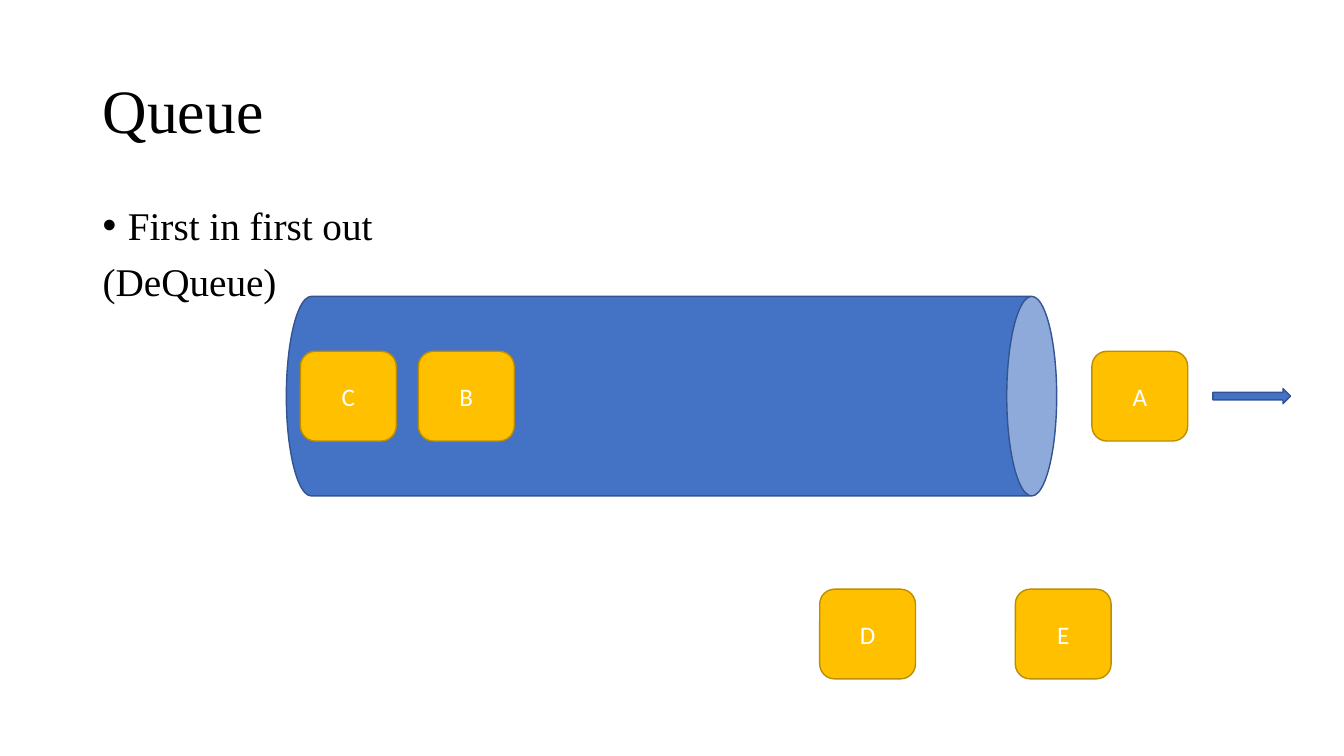
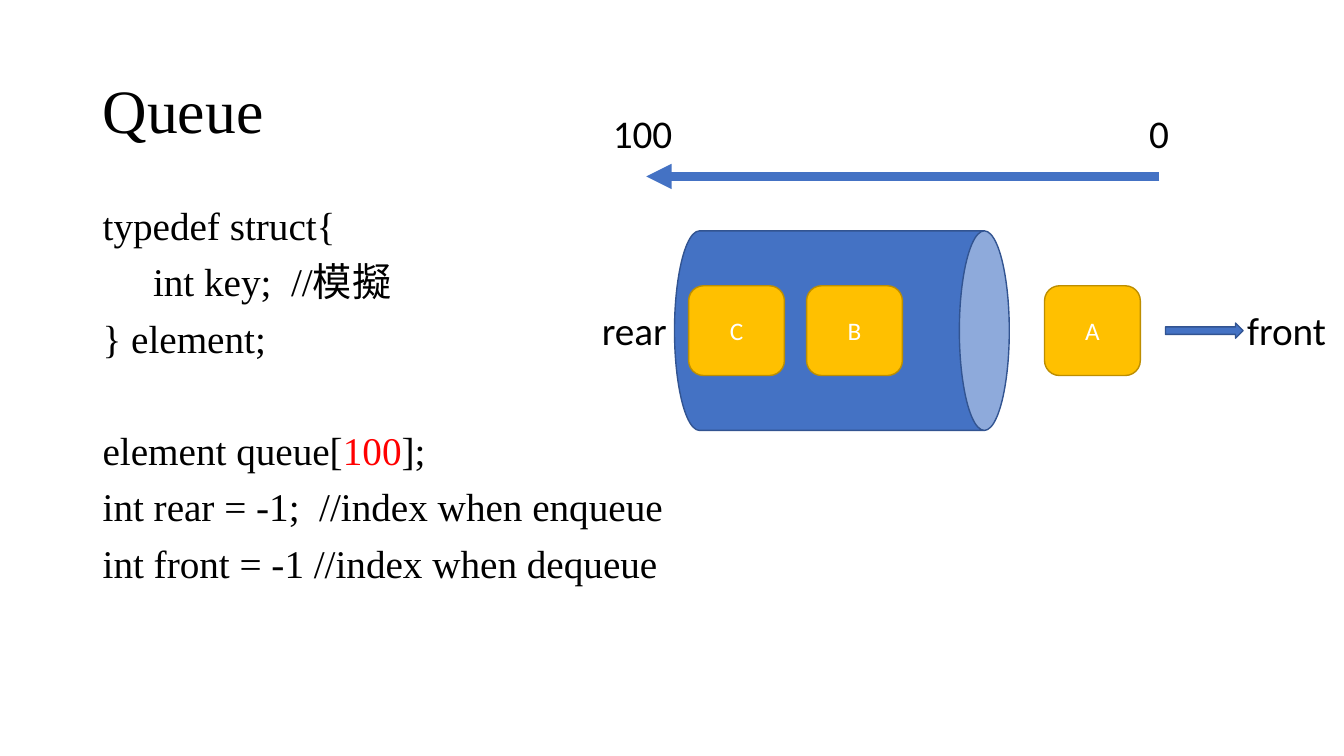
from pptx import Presentation
from pptx.dml.color import RGBColor
from pptx.enum import shapes, text
from pptx.oxml.ns import qn
from pptx.util import Inches, Pt
from lxml import etree

SERIF = "Times New Roman"
SANS = "Calibri"
BLACK = "000000"
WHITE = "FFFFFF"
RED = "FF0000"
BLUE = "4472C4"
BLUE_EDGE = "325491"
GOLD = "FFC000"
GOLD_EDGE = "BD8E00"

CELL_WIDTH = 0.95
CELL_HEIGHT = 0.89
CELL_STEP = 1.17
TANK_HEIGHT = 1.98
ARROW_HEIGHT = 0.15
BODY_SPACING = 10
BLANK_LINE = 40


def colour(value):
    return RGBColor.from_string(value)


def add_span(para, words, size, font, fill=BLACK):
    span = para.add_run()
    span.text = words
    span.font.size = Pt(size)
    span.font.name = font
    span.font.color.rgb = colour(fill)


def add_box(page, left, top, width, height, wrap=True):
    box = page.shapes.add_textbox(Inches(left), Inches(top), Inches(width), Inches(height))
    box.text_frame.word_wrap = wrap
    return box.text_frame


def add_title(page, words):
    frame = add_box(page, 0.92, 0.4, 11.5, 1.45)
    frame.vertical_anchor = text.MSO_ANCHOR.MIDDLE
    para = frame.paragraphs[0]
    para.line_spacing = 0.9
    add_span(para, words, 44, SERIF)


def add_bullet(para):
    props = para._p.get_or_add_pPr()
    props.set("marL", str(Inches(0.25)))
    props.set("indent", str(-Inches(0.25)))
    etree.SubElement(props, qn("a:buFont")).set("typeface", "Arial")
    etree.SubElement(props, qn("a:buChar")).set("char", "•")


def add_body(page, lines, bulleted=(), after_gap=()):
    frame = add_box(page, 0.92, 2, 11.5, 4.76)
    for index, line in enumerate(lines):
        para = frame.add_paragraph() if index else frame.paragraphs[0]
        if index in bulleted:
            add_bullet(para)
        para.line_spacing = 0.9
        if index:
            para.space_before = Pt(BODY_SPACING + BLANK_LINE * (index in after_gap))
        for words, fill in line:
            add_span(para, words, 28, SERIF, fill)


def add_label(page, words, left, top, width):
    frame = add_box(page, left, top, width, 0.57, wrap=False)
    frame.auto_size = text.MSO_AUTO_SIZE.SHAPE_TO_FIT_TEXT
    add_span(frame.paragraphs[0], words, 28, SANS)


def add_block(page, kind, left, top, width, height, fill=BLUE, edge=BLUE_EDGE):
    block = page.shapes.add_shape(
        kind, Inches(left), Inches(top), Inches(width), Inches(height))
    block.shadow.inherit = False
    block.fill.solid()
    block.fill.fore_color.rgb = colour(fill)
    block.line.color.rgb = colour(edge)
    block.line.width = Pt(1)
    return block


def add_cell(page, letter, left, middle):
    cell = add_block(page, shapes.MSO_SHAPE.ROUNDED_RECTANGLE, left, middle - CELL_HEIGHT / 2,
                     CELL_WIDTH, CELL_HEIGHT, GOLD, GOLD_EDGE)
    cell.text_frame.vertical_anchor = text.MSO_ANCHOR.MIDDLE
    para = cell.text_frame.paragraphs[0]
    para.alignment = text.PP_ALIGN.CENTER
    add_span(para, letter, 18, SANS, WHITE)


def add_queue(page, left, middle, length):
    tank = add_block(page, shapes.MSO_SHAPE.CAN, left + (length - TANK_HEIGHT) / 2,
                     middle - length / 2, TANK_HEIGHT, length)
    tank.rotation = 90
    for index, letter in enumerate("CB"):
        add_cell(page, letter, left + 0.14 + index * CELL_STEP, middle)
    exit_left = left + length + 0.35
    add_cell(page, "A", exit_left, middle)
    add_block(page, shapes.MSO_SHAPE.RIGHT_ARROW, exit_left + 1.2,
              middle - ARROW_HEIGHT / 2, 0.77, ARROW_HEIGHT)


def add_index_arrow(page, start, end, height):
    arrow = page.shapes.add_connector(
        shapes.MSO_CONNECTOR.STRAIGHT, Inches(start), Inches(height), Inches(end), Inches(height))
    arrow.line.color.rgb = colour(BLUE)
    arrow.line.width = Pt(6)
    etree.SubElement(arrow.line._get_or_add_ln(), qn("a:tailEnd")).set("type", "triangle")
    etree.SubElement(arrow._element.spPr, qn("a:effectLst"))


def add_page(deck):
    page = deck.slides.add_slide(deck.slide_layouts[6])
    add_title(page, "Queue")
    return page


def build_dequeue(deck):
    page = add_page(deck)
    add_body(page, [[("First in first out", BLACK)], [("(DeQueue)", BLACK)]], bulleted=[0])
    add_queue(page, 2.84, 3.93, 7.64)
    for letter, left in (("D", 8.13), ("E", 10.07)):
        add_cell(page, letter, left, 6.29)


def build_struct(deck):
    page = add_page(deck)
    add_body(page, [
        [("typedef struct{", BLACK)],
        [("\tint key;  //模擬", BLACK)],
        [("} element;", BLACK)],
        [("element queue[", BLACK), ("100", RED), ("];", BLACK)],
        [("int rear = -1;  //index when enqueue", BLACK)],
        [("int front = -1 //index when dequeue", BLACK)],
    ], after_gap=[3])
    add_queue(page, 6.69, 3.28, 3.32)
    add_index_arrow(page, 11.5, 6.41, 1.75)
    for words, left, top, width in (
            ("rear", 5.87, 2.99, 0.85), ("front", 12.27, 2.99, 0.99),
            ("100", 5.98, 1.04, 0.8), ("0", 11.3, 1.04, 0.4)):
        add_label(page, words, left, top, width)


def main():
    deck = Presentation()
    deck.slide_width = Inches(13.33)
    deck.slide_height = Inches(7.5)
    build_dequeue(deck)
    build_struct(deck)
    deck.save("out.pptx")


if __name__ == "__main__":
    main()
